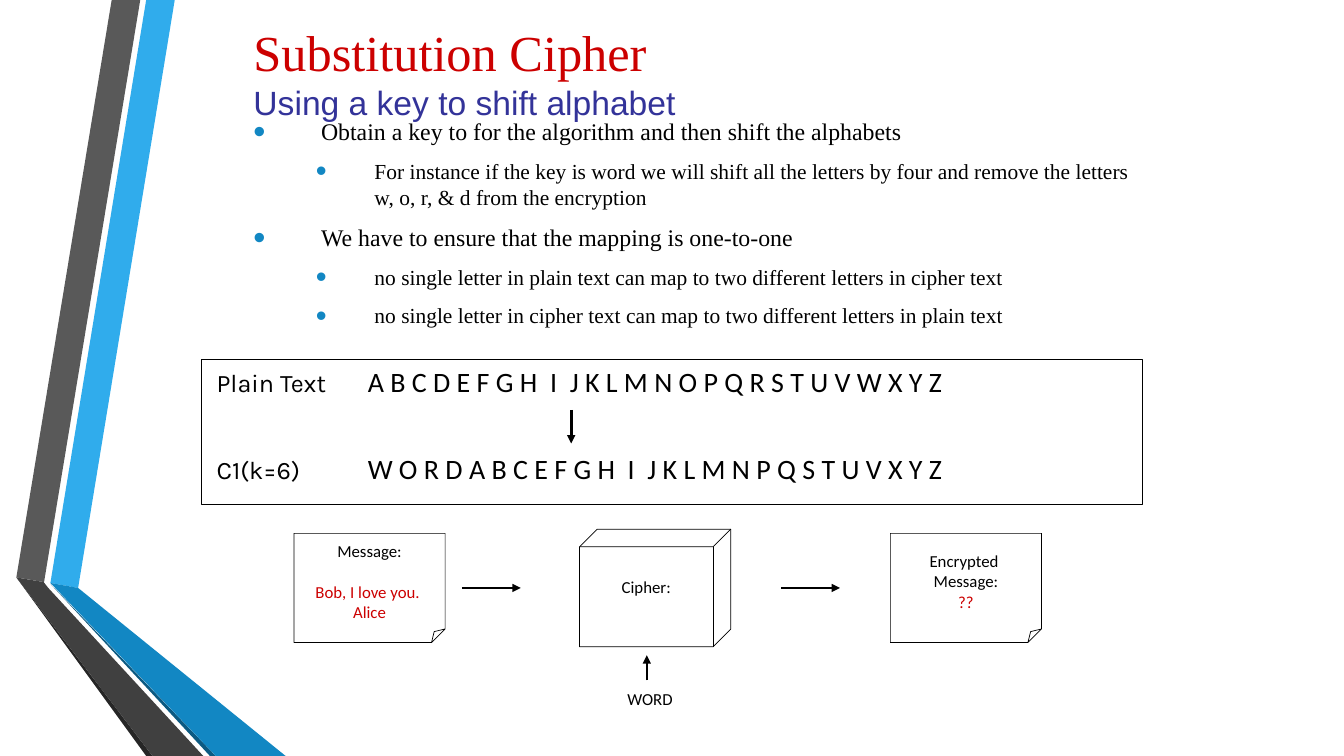
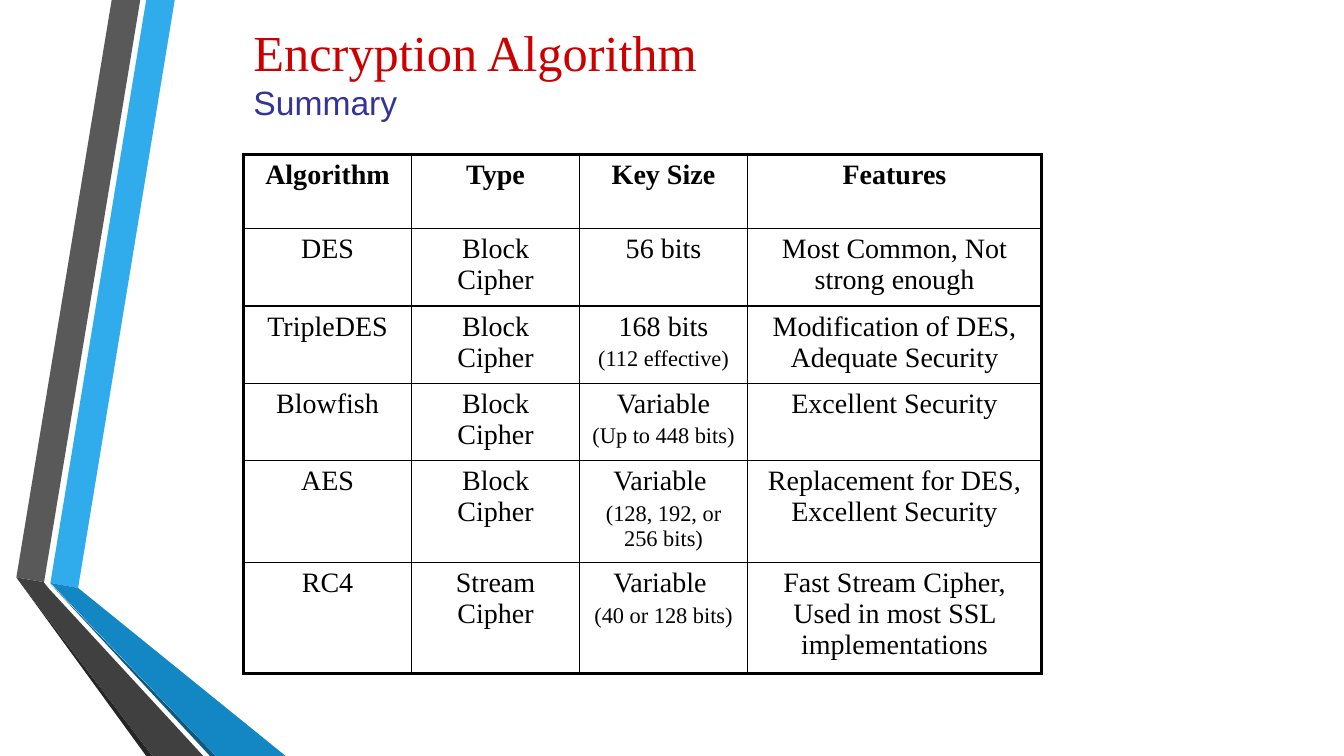
from lxml.etree import SubElement as Sub
from pptx import Presentation
from pptx.dml.color import RGBColor as Rgb
from pptx.enum.shapes import MSO_CONNECTOR as Link, MSO_SHAPE as Shape
from pptx.enum.text import MSO_ANCHOR as Anchor, PP_ALIGN as Align
from pptx.oxml.ns import qn
from pptx.util import Inches, Pt

COLUMNS, ROWS = 160, 90  # square grid cells, twelve to the inch
COLORS = {
    "ink": "000000", "title": "CC0000", "subtitle": "333399",
    "sky": "30ACEC", "blue": "1287C3", "navy": "0C5A82",
    "grey": "595959", "charcoal": "404040", "coal": "262626",
}
SERIF, SANS, BODY, LABEL = "Times New Roman", "Arial", "Calibri", "Karla"

# Ribbons down the left edge: colour and corner points in grid cells
RIBBONS = [
    ("sky", [(6, 69.4), (9.3, 70), (20.8, 0), (17.4, 0)]),
    ("grey", [(16.7, 0), (13.3, 0), (1.95, 68.75), (5.25, 69.3)]),
    ("coal", [(1.95, 68.75), (17.4, 90), (18.15, 90)]),
    ("navy", [(6, 69.5), (25, 90), (25.7, 90)]),
    ("blue", [(6, 69.4), (25.7, 90), (34, 90), (9.3, 70)]),
    ("charcoal", [(24.2, 90), (5.75, 70), (5.2, 69.3), (1.95, 68.75), (18.15, 90)]),
]


def cells(count):
    return Inches(count / 12)


def style(font, size, name, color="ink", bold=False):
    font.size, font.name, font.bold = Pt(size), name, bold
    font.color.rgb = Rgb.from_string(COLORS[color])


class Sketch:
    """Holds the deck, its style and the current page."""

    def __init__(self):
        self.deck = Presentation()
        self.deck.slide_width, self.deck.slide_height = cells(COLUMNS), cells(ROWS)
        self.page = None

    def new_page(self, title, subtitle):
        self.page = self.deck.slides.add_slide(self.deck.slide_layouts[6])
        for color, points in RIBBONS:
            self.polygon(color, points)
        frame = self.text_box(29, 1, 102, 15, Anchor.MIDDLE)
        self.paragraph(frame, title, 36, SERIF, "title")
        self.paragraph(frame, subtitle, 24, SANS, "subtitle")

    def polygon(self, color, points):
        corners = [(cells(x), cells(y)) for x, y in points]
        builder = self.page.shapes.build_freeform(*corners[0])
        builder.add_line_segments(corners[1:], close=True)
        shape = builder.convert_to_shape()
        shape.shadow.inherit = False
        shape.fill.solid()
        shape.fill.fore_color.rgb = Rgb.from_string(COLORS[color])
        shape.line.fill.background()

    def text_box(self, left, top, width, height, anchor=Anchor.TOP, wrap=True):
        box = self.page.shapes.add_textbox(*map(cells, (left, top, width, height)))
        box.text_frame.word_wrap = wrap
        box.text_frame.vertical_anchor = anchor
        return box.text_frame

    def paragraph(self, frame, text, size, name, color="ink", bold=False,
                  align=Align.LEFT, before=0):
        para = frame.paragraphs[0]
        if para.runs:
            para = frame.add_paragraph()
            para.space_before = Pt(before)
        para.alignment = align
        para.add_run().text = text
        style(para.font, size, name, color, bold)

    def bullets(self, left, top, width, height, items):
        frame = self.text_box(left, top, width, height, Anchor.MIDDLE)
        looks = [(17, 0.67, -0.67), (15.3, 1.2, -0.58)]  # size, margin, indent
        for level, text in items:
            size, margin, indent = looks[level]
            para = frame.paragraphs[0]
            if para.runs:
                para = frame.add_paragraph()
                para.space_before = Pt(size * 0.2)
            para.space_after, para.level = Pt(6), level
            props = para._p.get_or_add_pPr()
            props.set("marL", str(Inches(margin)))
            props.set("indent", str(Inches(indent)))
            Sub(Sub(props, qn("a:buClr")), qn("a:srgbClr"), val=COLORS["blue"])
            Sub(props, qn("a:buSzPct"), val="145000")
            Sub(props, qn("a:buFont"), typeface=SANS)
            Sub(props, qn("a:buChar"), char="•")
            para.add_run().text = text
            style(para.font, size, SERIF)

    def alphabet(self, top, label, letters):
        para = self.text_box(24.6, top, 110, 5.3).paragraphs[0]
        tabs = Sub(para._p.get_or_add_pPr(), qn("a:tabLst"))
        Sub(tabs, qn("a:tab"), pos=str(cells(18)), algn="l")
        for text, size, name in ((label, 18, LABEL), ("\t" + letters, 20, BODY)):
            span = para.add_run()
            span.text = text
            style(span.font, size, name)

    def outline(self, kind, left, top, width, height, lines=(), corner=None, lift=0):
        """Outlined shape; each line is text, colour and space before."""
        shape = self.page.shapes.add_shape(
            kind, *map(cells, (left, top, width, height)))
        if corner is not None:
            guides = shape._element.spPr.find(qn("a:prstGeom")).find(qn("a:avLst"))
            for guide in list(guides):
                guides.remove(guide)
            Sub(guides, qn("a:gd"), name="adj", fmla=f"val {round(corner * 100000)}")
        shape.shadow.inherit = False
        shape.fill.background()
        shape.line.color.rgb = Rgb.from_string(COLORS["ink"])
        shape.line.width = Pt(0.5)
        frame = shape.text_frame
        frame.word_wrap, frame.vertical_anchor = False, Anchor.MIDDLE
        frame.margin_bottom += Pt(lift)
        for text, color, before in lines:
            self.paragraph(frame, text, 12, BODY, color,
                           align=Align.CENTER, before=before)

    def arrow(self, x1, y1, x2, y2, width=1.5):
        line = self.page.shapes.add_connector(
            Link.STRAIGHT, *map(cells, (x1, y1, x2, y2)))
        line.line.color.rgb = Rgb.from_string(COLORS["ink"])
        line.line.width = Pt(width)
        Sub(line.line._get_or_add_ln(), qn("a:tailEnd"), type="triangle")
        Sub(line._element.spPr, qn("a:effectLst"))

    def table(self, left, top, widths, heights, rows):
        frame = self.page.shapes.add_table(
            len(rows), len(widths),
            *map(cells, (left, top, sum(widths), sum(heights))))
        grid = frame.table
        grid.first_row = grid.horz_banding = False
        for column, width in zip(grid.columns, widths):
            column.width = cells(width)
        for row, height in zip(grid.rows, heights):
            row.height = cells(height)
        last_row, last_column = len(rows) - 1, len(widths) - 1
        for r, row in enumerate(rows):
            for c, text in enumerate(row):
                cell = grid.cell(r, c)
                edges = {"lnL": c == 0, "lnR": c == last_column,
                         "lnT": r == 0, "lnB": r == last_row}
                self.borders(cell, edges)
                cell.fill.background()
                for part, size in zip(text.split("\n"), (20, 16)):
                    self.paragraph(cell.text_frame, part, size, SERIF, bold=r == 0,
                                   align=Align.CENTER, before=size * 0.2)

    def borders(self, cell, edges):
        props = cell._tc.get_or_add_tcPr()
        for tag, outer in edges.items():
            line = Sub(props, qn("a:" + tag), w=str(Pt(2.25 if outer else 1)))
            Sub(Sub(line, qn("a:solidFill")), qn("a:srgbClr"), val=COLORS["ink"])


def cipher_page(sketch):
    sketch.new_page("Substitution Cipher", "Using a key to shift alphabet")
    sketch.bullets(29, 15, 108, 23, [
        (0, "Obtain a key to for the algorithm and then shift the alphabets"),
        (1, "For instance if the key is word we will shift all the letters by four "
            "and remove the letters w, o, r, & d from the encryption"),
        (0, "We have to ensure that the mapping is one-to-one"),
        (1, "no single letter in plain text can map to two different letters "
            "in cipher text"),
        (1, "no single letter in cipher text can map to two different letters "
            "in plain text"),
    ])

    # Alphabet mapping
    sketch.outline(Shape.RECTANGLE, 24, 42.8, 112, 17.2)
    sketch.alphabet(42.8, "Plain Text",
                    "A B C D E F G H  I  J K L M N O P Q R S T U V W X Y Z")
    sketch.alphabet(53.2, "C1(k=6)",
                    "W O R D A B C E F G H  I  J K L M N P Q S T U V X Y Z")
    sketch.arrow(68, 48.8, 68, 52.8, 2)

    # Message flow
    sketch.outline(Shape.FOLDED_CORNER, 35, 63.5, 18, 13, [
        ("Message:", "ink", 0), ("Bob, I love you. ", "title", 14.6),
        ("Alice", "title", 0)], corner=0.125)
    sketch.outline(Shape.CUBE, 69, 63, 18, 14, [("Cipher:", "ink", 0)],
                   corner=0.15, lift=14.6)
    sketch.outline(Shape.FOLDED_CORNER, 106, 63.5, 18, 13, [
        ("Encrypted ", "ink", 0), ("Message:", "ink", 0), ("??", "title", 0)],
        corner=0.125)
    for start in (55, 93):
        sketch.arrow(start, 70, start + 7, 70)
    sketch.arrow(77, 81, 77, 78)
    key = sketch.text_box(73.5, 80.8, 8, 4.8, Anchor.MIDDLE, wrap=False)
    sketch.paragraph(key, "WORD", 12, BODY)


def summary_page(sketch):
    sketch.new_page("Encryption Algorithm", "Summary")
    sketch.table(29, 18.35, [20, 20, 20, 35], [8.87] * 4 + [11.4, 12.3], [
        ("Algorithm", "Type", "Key Size", "Features"),
        ("DES", "Block Cipher", "56 bits", "Most Common, Not strong enough"),
        ("TripleDES", "Block Cipher", "168 bits\n(112 effective)",
         "Modification of DES, Adequate Security"),
        ("Blowfish", "Block Cipher", "Variable\n(Up to 448 bits)",
         "Excellent Security"),
        ("AES", "Block Cipher", "Variable \n(128, 192, or 256 bits)",
         "Replacement for DES, Excellent Security"),
        ("RC4", "Stream Cipher", "Variable \n(40 or 128 bits)",
         "Fast Stream Cipher, Used in most SSL implementations"),
    ])


def main():
    sketch = Sketch()
    cipher_page(sketch)
    summary_page(sketch)
    sketch.deck.save("out.pptx")


if __name__ == "__main__":
    main()
